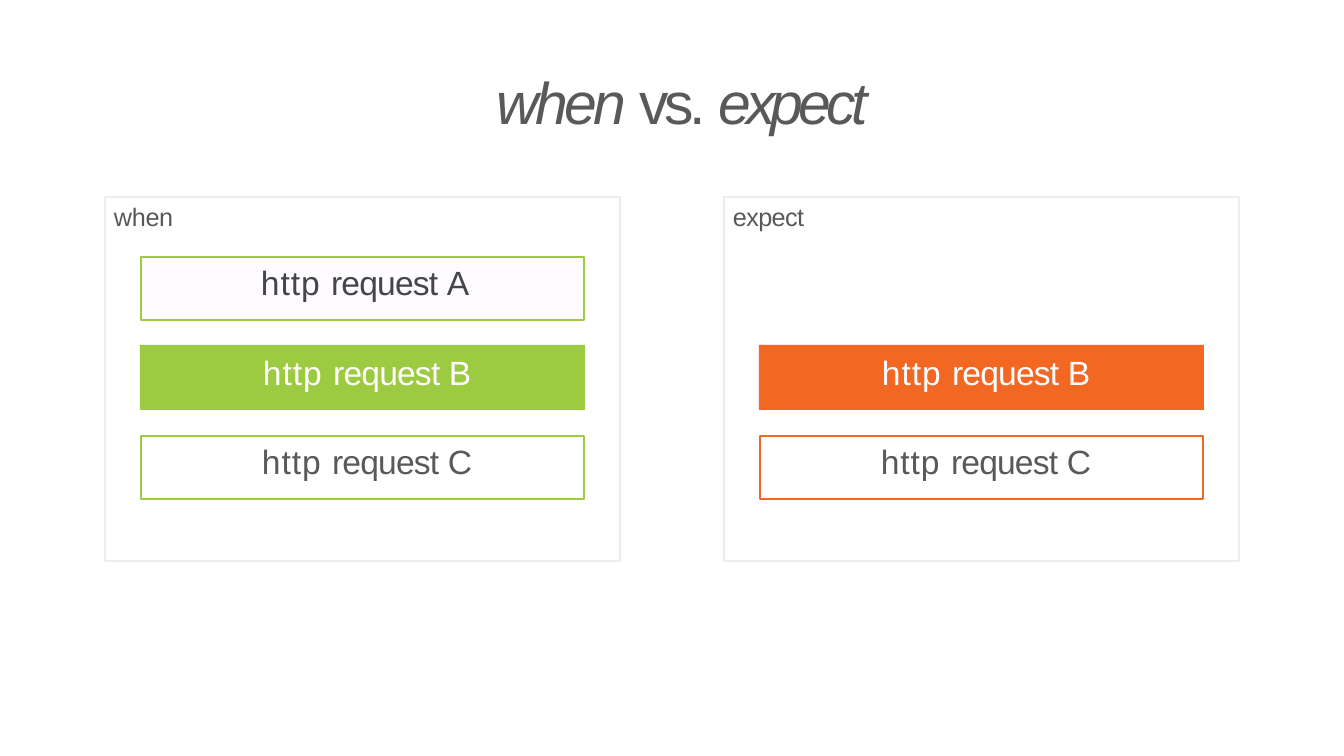
import pptx
import pptx.util
import pptx.dml.color
import pptx.enum.shapes
import pptx.enum.text

RGBColor = pptx.dml.color.RGBColor
GREY = RGBColor(0x58, 0x59, 0x5B)
DARK = RGBColor(0x46, 0x45, 0x47)
PALE = RGBColor(0xFF, 0xFC, 0xFF)
FRAME = RGBColor(0xED, 0xED, 0xEE)
GREEN = RGBColor(0x9C, 0xCB, 0x42)
ORANGE = RGBColor(0xF2, 0x67, 0x22)

PX = 914400 / 75.6
TITLE = [("when ", -3.5, True), ("vs. ", -4, False), ("expect", -4.5, True)]
PANELS = [
    ("when", -0.3, GREEN, "ABC"),
    ("expect", -0.6, ORANGE, "BC"),
]
REQUESTS = {
    "A": {"top": 257, "fill": PALE, "color": DARK, "inset": 5, "indent": 120, "spacing": -1.8},
    "B": {"top": 346, "solid": True, "color": PALE, "inset": 7, "indent": 123, "spacing": -4},
    "C": {"top": 436, "color": GREY, "inset": 5, "indent": 121, "spacing": -4.5},
}
PANEL_LEFT, PANEL_TOP, PANEL_WIDTH, PANEL_HEIGHT, PANEL_PITCH = 105, 197, 515, 364, 619
BOX_INSET, BOX_WIDTH, BOX_HEIGHT = 36, 443, 63


def px(length):
    return round(length * PX)


def add_rectangle(page, left, top, width, height, fill, line):
    box = page.shapes.add_shape(
        pptx.enum.shapes.MSO_SHAPE.RECTANGLE, px(left), px(top), px(width), px(height)
    )
    box.shadow.inherit = False
    if fill is None:
        box.fill.background()
    else:
        box.fill.solid()
        box.fill.fore_color.rgb = fill
    if line is None:
        box.line.fill.background()
    else:
        box.line.color.rgb = line
        box.line.width = pptx.util.Pt(2)
    return box


def write(box, spans, size, color, left=0, top=0):
    frame = box.text_frame
    frame.word_wrap = True
    frame.vertical_anchor = pptx.enum.text.MSO_ANCHOR.TOP
    frame.margin_left, frame.margin_top = px(left), px(top)
    frame.margin_right = frame.margin_bottom = 0
    para = frame.paragraphs[0]
    para.alignment = pptx.enum.text.PP_ALIGN.LEFT
    para.font.name = "Arial"
    para.font.size = pptx.util.Pt(size)
    para.font.color.rgb = color
    for text, spacing, italic in spans:
        span = para.add_run()
        span.text = text
        span.font.italic = italic
        span.font.name = "Arial"
        span.font.size = pptx.util.Pt(size)
        span.font.color.rgb = color
        span.font._element.set("spc", str(round(spacing * 100)))


def add_request(page, left, letter, accent):
    request = REQUESTS[letter]
    solid = request.get("solid", False)
    grow = 1 if solid else 0
    box = add_rectangle(
        page, left - grow, request["top"] - grow,
        BOX_WIDTH + 2 * grow, BOX_HEIGHT + 2 * grow,
        accent if solid else request.get("fill"), None if solid else accent,
    )
    spans = [("http ", 0.9, False), ("request ", -0.8, False), (letter, request["spacing"], False)]
    write(box, spans, 32, request["color"], request["indent"], request["inset"])


def main():
    deck = pptx.Presentation()
    deck.slide_width, deck.slide_height = pptx.util.Inches(17.78), pptx.util.Inches(10)
    page = deck.slides.add_slide(deck.slide_layouts[6])

    title = page.shapes.add_textbox(px(172), px(66), px(1001), px(72))
    write(title, TITLE, 56, GREY, left=325)

    for index, (label, spacing, accent, letters) in enumerate(PANELS):
        left = PANEL_LEFT + index * PANEL_PITCH
        panel = add_rectangle(page, left, PANEL_TOP, PANEL_WIDTH, PANEL_HEIGHT, None, FRAME)
        write(panel, [(label, spacing, False)], 24, GREY, 9, 4)
        for letter in letters:
            add_request(page, left + BOX_INSET, letter, accent)

    deck.save("out.pptx")


if __name__ == "__main__":
    main()
